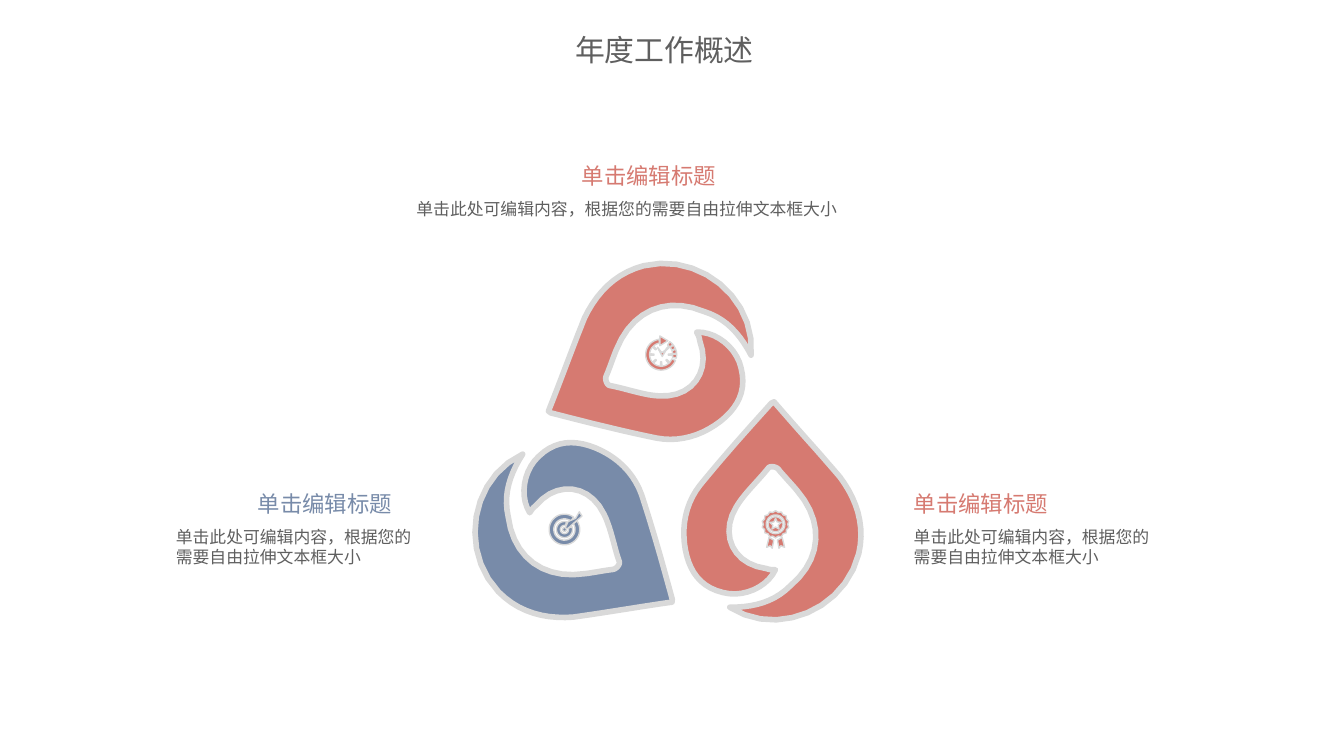
from dataclasses import dataclass
from math import cos, radians, sin

from pptx import Presentation
from pptx.dml.color import RGBColor
from pptx.enum.text import MSO_AUTO_SIZE
from pptx.oxml.ns import qn
from pptx.util import Pt

FONT = "Noto Sans CJK SC"
RED, BLUE, GREY, OUTLINE = "D67A71", "788BA9", "5F5F5F", "D9D9D9"
HEADING = "单击编辑标题"
BODY = "单击此处可编辑内容，根据您的需要自由拉伸文本框大小"

Point = tuple[float, float]
Contour = list[Point]

# Bezier curves of a petal whose tip is at the origin and points up:
# two control points and an end point each
PETAL_CURVES = [
    ((12, 14), (24, 27), (35.3, 40.3)),
    ((43.9, 51.8), (49, 65.5), (45.4, 81.3)),
    ((38.2, 110.9), (2.2, 126.7), (-23.7, 110.1)),
    ((-10.8, 110.1), (0, 107.3), (8.7, 98.6)),
    ((25.9, 84.2), (26.7, 64.1), (12.3, 47.5)),
    ((8.7, 43.2), (5.1, 39.6), (2.2, 36)),
    ((0.7, 34.5), (-2.1, 34.5), (-2.9, 35.3)),
    ((-8.6, 42.5), (-15.8, 48.9), (-20.1, 56.1)),
    ((-29.5, 71.3), (-21.6, 87.1), (-4.3, 89.3)),
    ((-2.1, 90), (-1.4, 90), (0.7, 90)),
    ((-3.6, 99.3), (-16.5, 105.1), (-27.3, 102.2)),
    ((-39.6, 99.3), (-45.3, 90.7), (-47.5, 79.2)),
    ((-49.7, 66.9), (-47.5, 54.7), (-39.6, 44.6)),
    ((-27.3, 29.5), (-14.4, 15.1), (-1.4, 0.7)),
]


@dataclass
class Petal:
    color: str
    tip: Point
    turn: float
    icon_center: Point
    icon: list[list[Contour]]  # each part is a list of contours around the origin


@dataclass
class Label:
    text: str
    left: float
    top: float
    width: float
    height: float
    size: float
    color: str
    wrap: bool = True


@dataclass
class Entry:
    color: str
    top: float
    heading_left: float
    body_left: float
    body_width: float
    body_lines: int


def rgb(color: str) -> RGBColor:
    return RGBColor.from_string(color)


# Geometry helpers
def polar(radius: float, angle: float) -> Point:
    return radius * cos(radians(angle)), radius * sin(radians(angle))


def arc(radius: float, start: float = 0, end: float = 360) -> Contour:
    steps = max(2, round(abs(end - start) / 10))
    return [polar(radius, start + (end - start) * step / steps) for step in range(steps + 1)]


def sector(inner: float, outer: float, start: float, end: float) -> Contour:
    return arc(outer, start, end) + arc(inner, end, start)


def star(inner: float, outer: float, tips: int) -> Contour:
    return [polar(inner if index % 2 else outer, index * 180 / tips - 90)
            for index in range(2 * tips)]


def place(contour: Contour, origin: Point, turn: float = 0) -> Contour:
    cosine, sine = polar(1, turn)
    return [(origin[0] + x * cosine - y * sine, origin[1] + x * sine + y * cosine)
            for x, y in contour]


def petal_contour(steps: int = 10) -> Contour:
    contour = [(0, 0)]
    for curve in PETAL_CURVES:
        points = (contour[-1], *curve)
        for step in range(1, steps + 1):
            t = step / steps
            weights = ((1 - t) ** 3, 3 * t * (1 - t) ** 2, 3 * t * t * (1 - t), t ** 3)
            contour.append((sum(w * x for w, (x, _) in zip(weights, points)),
                            sum(w * y for w, (_, y) in zip(weights, points))))
    return contour


# Drawing
def draw_outline(shapes, contours: list[Contour], color: str, line_width: float) -> None:
    outlines = [[(Pt(x), Pt(y)) for x, y in contour] for contour in contours]
    builder = shapes.build_freeform(*outlines[0][0], scale=1.0)
    for index, points in enumerate(outlines):
        if index:
            builder.move_to(*points[0])
        builder.add_line_segments(points[1:], close=True)
    shape = builder.convert_to_shape()
    shape.shadow.inherit = False
    shape.fill.solid()
    shape.fill.fore_color.rgb = rgb(color)
    shape.line.color.rgb = rgb(OUTLINE)
    shape.line.width = Pt(line_width)


def draw_petal(slide, petal: Petal) -> None:
    shapes = slide.shapes.add_group_shape().shapes
    draw_outline(shapes, [place(petal_contour(), petal.tip, petal.turn)], petal.color, 3)
    for part in petal.icon:
        contours = [place(contour, petal.icon_center) for contour in part]
        draw_outline(shapes, contours, petal.color, 0)


def draw_label(slide, label: Label) -> None:
    shape = slide.shapes.add_textbox(Pt(label.left), Pt(label.top),
                                     Pt(label.width), Pt(label.height))
    frame = shape.text_frame
    frame.text = label.text
    frame.word_wrap = label.wrap
    frame.auto_size = MSO_AUTO_SIZE.SHAPE_TO_FIT_TEXT
    # The tight line height lifts the glyphs; the insets bring them back
    frame.margin_top = Pt(3.6 + 0.09 * label.size)
    frame.margin_bottom = Pt(3.6 - 0.09 * label.size)
    paragraph = frame.paragraphs[0]
    paragraph.line_spacing = Pt(1.2 * label.size)
    font = paragraph.runs[0].font
    font.size = Pt(label.size)
    font.name = FONT
    font.color.rgb = rgb(label.color)
    east_asian = font._element.makeelement(qn("a:ea"), {"typeface": FONT})
    font._element.find(qn("a:latin")).addnext(east_asian)


def draw_entry(slide, entry: Entry) -> None:
    draw_label(slide, Label(HEADING, entry.heading_left, entry.top, 87, 21.6, 12,
                            entry.color, False))
    draw_label(slide, Label(BODY, entry.body_left, entry.top + 20, entry.body_width,
                            7.2 + 10.8 * entry.body_lines, 9, GREY))


# Clock: open ring, dashes, ticks, hands and arrowhead
clock = [[
    sector(6.2, 8.3, 22, 262),
    *[sector(6.2, 8.3, start, start + 15) for start in range(-56, 0, 18)],
    *[sector(3.9, 5.6, angle - 4, angle + 4) for angle in range(-45, 226, 45)],
    [(-2, -4), (0.4, -1), (3, -3), (0.6, 1)],
    [(-0.7, -10), (3.6, -7.4), (-0.7, -4.8)],
]]

# Medal: ribbons, scalloped rim, disc with a star
ribbon = [(3.5, 7), (4.8, 12.3), (2.8, 11.5), (1.8, 12.8), (1, 8.5)]
medal = [
    [[(side * x, y) for x, y in ribbon] for side in (1, -1)],
    [star(6.5, 7.3, 14), arc(5)],
    [arc(4), star(1.5, 3.2, 5)],
]

# Target: two open rings, dart and bullseye
target = [
    [sector(5.7, 8.2, -34, 307)],
    [sector(2.2, 4.3, -20, 285)],
    [[(0, 0), (2, -4.3), (6, -6), (8, -9.5), (9.4, -7.2), (6, -4.3), (2, -0.7)]],
    [arc(1)],
]

PETALS = [
    Petal(RED, (293.8, 220.3), -117.6, (354.2, 190), clock),
    Petal(RED, (414.7, 215.3), 0, (415.5, 280.9), medal),
    Petal(BLUE, (360, 322.6), 122.6, (302.4, 283.7), target),
]

ENTRIES = [
    Entry(RED, 257.8, 482.4, 482.4, 143.3, 2),
    Entry(BLUE, 257.8, 131, 87.1, 143.3, 2),
    Entry(RED, 82, 304.6, 216, 277.2, 1),
]


def main() -> None:
    presentation = Presentation()
    presentation.slide_width, presentation.slide_height = Pt(720), Pt(405)
    slide = presentation.slides.add_slide(presentation.slide_layouts[6])
    draw_label(slide, Label("年度工作概述", 301, 12.2, 116, 26.6, 16, GREY))
    for petal in PETALS:
        draw_petal(slide, petal)
    for entry in ENTRIES:
        draw_entry(slide, entry)
    presentation.save("out.pptx")


if __name__ == "__main__":
    main()
